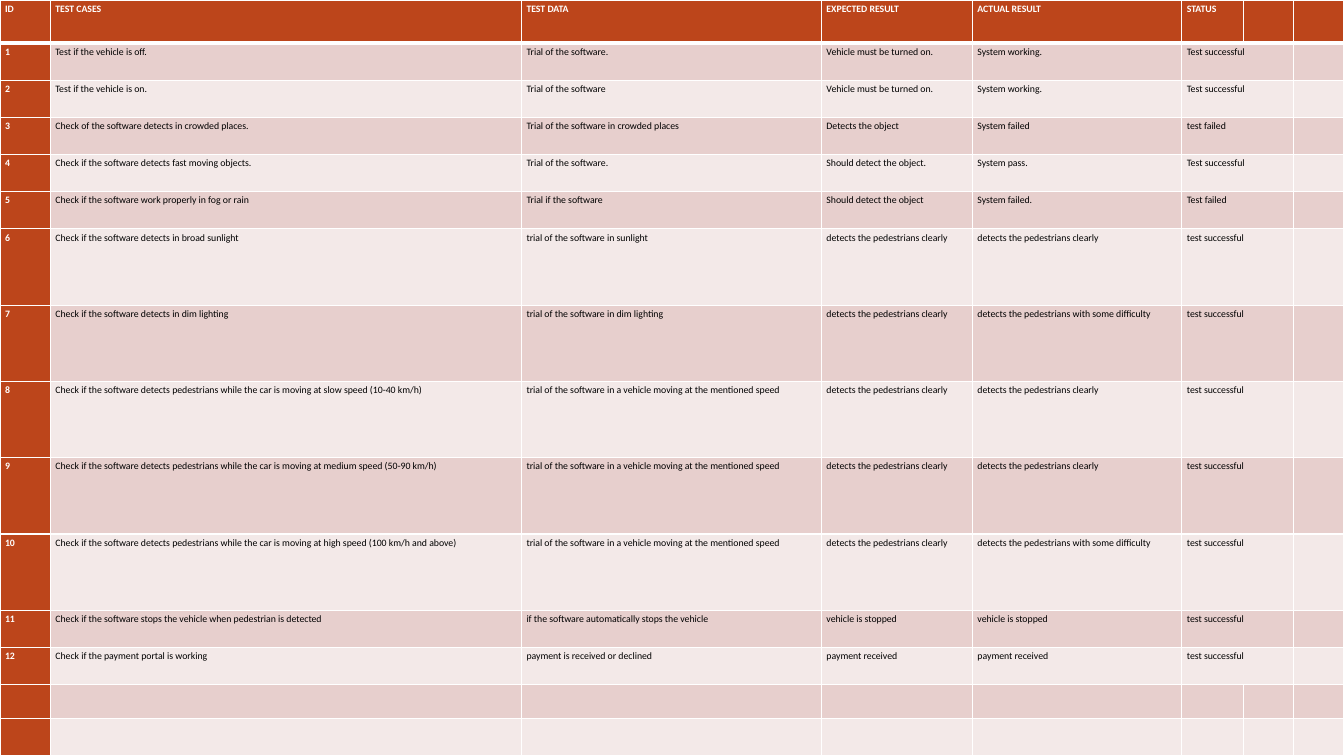
from lxml import etree
from pptx import Presentation
from pptx.dml.color import RGBColor
from pptx.oxml.ns import qn
from pptx.util import Inches, Pt

HEADINGS = ["ID", "TEST CASES", "TEST DATA", "EXPECTED RESULT", "ACTUAL RESULT", "STATUS"]
CLEAR = "detects the pedestrians clearly"
DIFFICULT = "detects the pedestrians with some difficulty"
AT_SPEED = "trial of the software in a vehicle moving at the mentioned speed"
WHILE_MOVING = "Check if the software detects pedestrians while the car is moving at "
TESTS = [
    ["Test if the vehicle is off.", "Trial of the software.",
     "Vehicle must be turned on.", "System working.", "Test successful"],
    ["Test if the vehicle is on.", "Trial of the software",
     "Vehicle must be turned on.", "System working.", "Test successful"],
    ["Check of the software detects in crowded places.", "Trial of the software in crowded places",
     "Detects the object", "System failed", "test failed"],
    ["Check if the software detects fast moving objects.", "Trial of the software.",
     "Should detect the object.", "System pass.", "Test successful"],
    ["Check if the software work properly in fog or rain", "Trial if the software",
     "Should detect the object", "System failed.", "Test failed"],
    ["Check if the software detects in broad sunlight", "trial of the software in sunlight",
     CLEAR, CLEAR, "test successful"],
    ["Check if the software detects in dim lighting", "trial of the software in dim lighting",
     CLEAR, DIFFICULT, "test successful"],
    [WHILE_MOVING + "slow speed (10-40 km/h)", AT_SPEED, CLEAR, CLEAR, "test successful"],
    [WHILE_MOVING + "medium speed (50-90 km/h)", AT_SPEED, CLEAR, CLEAR, "test successful"],
    [WHILE_MOVING + "high speed (100 km/h and above)", AT_SPEED, CLEAR, DIFFICULT, "test successful"],
    ["Check if the software stops the vehicle when pedestrian is detected",
     "if the software automatically stops the vehicle",
     "vehicle is stopped", "vehicle is stopped", "test successful"],
    ["Check if the payment portal is working", "payment is received or declined",
     "payment received", "payment received", "test successful"],
]
COLUMN_WEIGHTS = [0.5, 4.68, 2.98, 1.5, 2.08, 0.61, 0.5, 0.5]
ROW_WEIGHTS = [0.43] + [0.37] * 5 + [0.76] * 5 + [0.37] * 2 + [0.34, 0.37]
STATUS_COLUMN = HEADINGS.index("STATUS")


def color(hex_code):
    """Turn a hex string into a colour."""
    return RGBColor.from_string(hex_code)


def write(cell, text, *, font, size, ink, bold=False, line_spacing=1.25, space_after=8):
    """Put formatted text in a cell, or size its empty paragraph."""
    paragraph = cell.text_frame.paragraphs[0]
    paragraph.line_spacing = line_spacing
    paragraph.space_after = Pt(space_after)
    if not text:
        ending = etree.SubElement(paragraph._p, qn("a:endParaRPr"))
        ending.set("sz", str(size * 100))
        return
    run = paragraph.add_run()
    run.text = text
    run.font.name = font
    run.font.size = Pt(size)
    run.font.bold = bold
    run.font.color.rgb = color(ink)


class TestSheet:
    """Hold the style and the current slide of a test report."""

    font, size = "Calibri", 7
    accent, bands = "BC451B", ("F3E9E8", "E7CFCD")
    light, dark = "FFFFFF", "000000"

    def __init__(self, deck):
        """Add a blank slide with a dark background."""
        self.width, self.height = deck.slide_width, deck.slide_height
        self.slide = deck.slides.add_slide(deck.slide_layouts[6])
        background = self.slide.background.fill
        background.solid()
        background.fore_color.rgb = color(self.dark)

    def border(self, cell, **widths):
        """Draw the sides of a cell with the given widths in points."""
        properties = cell._tc.get_or_add_tcPr()
        for side in "LRTB":
            line = etree.SubElement(properties, qn(f"a:ln{side}"), w=str(Pt(widths.get(side, 1))))
            fill = etree.SubElement(line, qn("a:solidFill"))
            etree.SubElement(fill, qn("a:srgbClr"), val=self.light)

    def cell(self, cell, row, column, text):
        """Style one cell by its place in the table."""
        accented = row == 0 or column == 0
        cell.margin_left = cell.margin_right = Inches(0.05)
        cell.margin_top = cell.margin_bottom = 0
        self.border(cell, T=3 if row == 1 else 1, B=3 if row == 0 else 1)
        cell.fill.solid()
        cell.fill.fore_color.rgb = color(self.accent if accented else self.bands[row % 2])
        write(cell, text, font=self.font, size=self.size, bold=accented,
              ink=self.light if accented else self.dark)

    def table(self, records, column_weights, row_weights):
        """Fill the slide with a table, sharing its size by weight."""
        table = self.slide.shapes.add_table(
            len(row_weights), len(column_weights), 0, 0, self.width, self.height).table
        table.first_row = table.horz_banding = False
        for column, weight in zip(table.columns, column_weights):
            column.width = int(self.width * weight / sum(column_weights))
        for row, weight in zip(table.rows, row_weights):
            row.height = int(self.height * weight / sum(row_weights))
        for row in range(1, len(records)):
            table.cell(row, STATUS_COLUMN).merge(table.cell(row, STATUS_COLUMN + 1))
        for row in range(len(row_weights)):
            record = records[row] if row < len(records) else []
            for column in range(len(column_weights)):
                cell = table.cell(row, column)
                if not cell.is_spanned:
                    self.cell(cell, row, column, record[column] if column < len(record) else "")


def main():
    """Build and save the test report."""
    deck = Presentation()
    deck.slide_width, deck.slide_height = Inches(13.33), Inches(7.5)
    records = [HEADINGS] + [[str(number), *test] for number, test in enumerate(TESTS, 1)]
    TestSheet(deck).table(records, COLUMN_WEIGHTS, ROW_WEIGHTS)
    deck.save("out.pptx")


if __name__ == "__main__":
    main()
